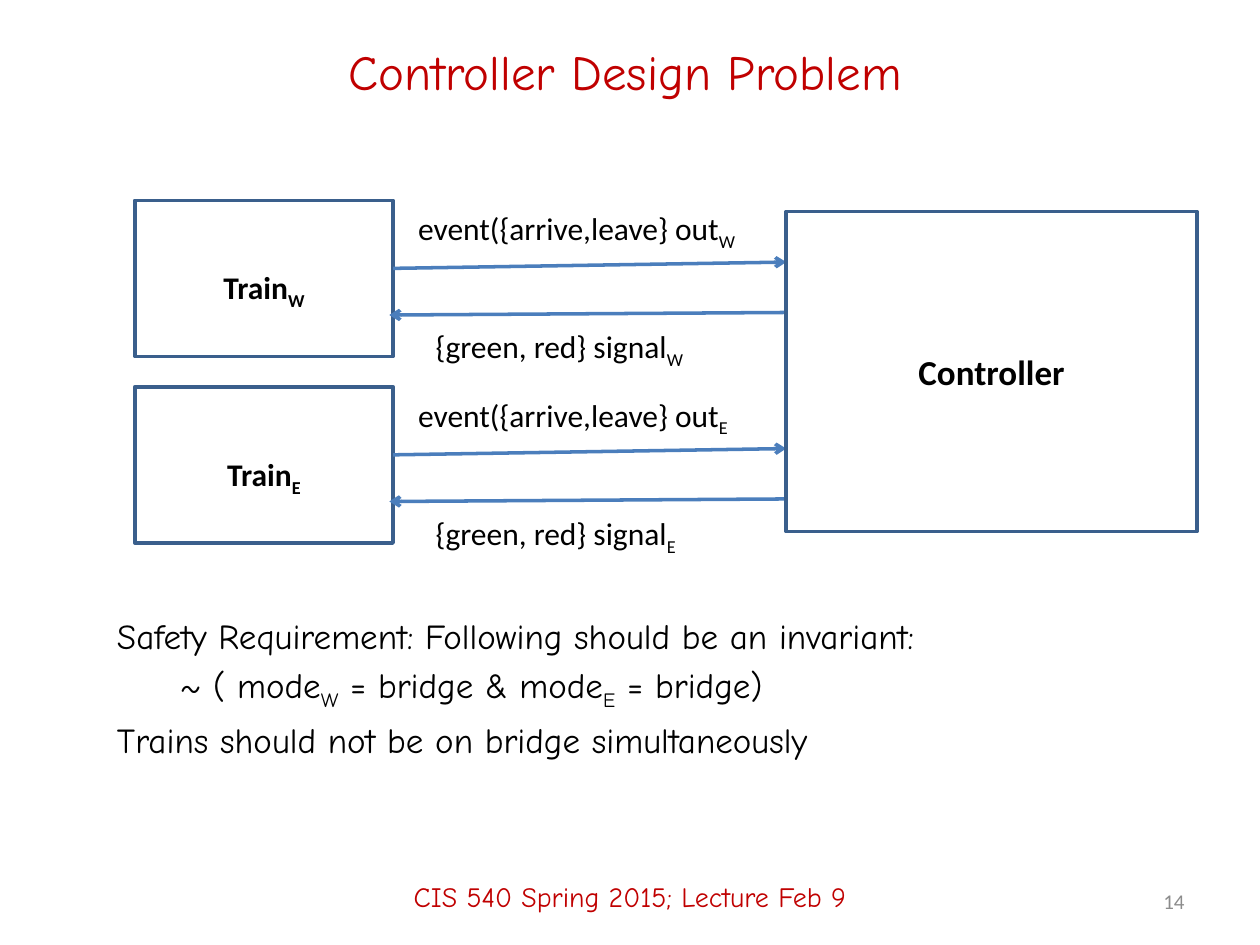
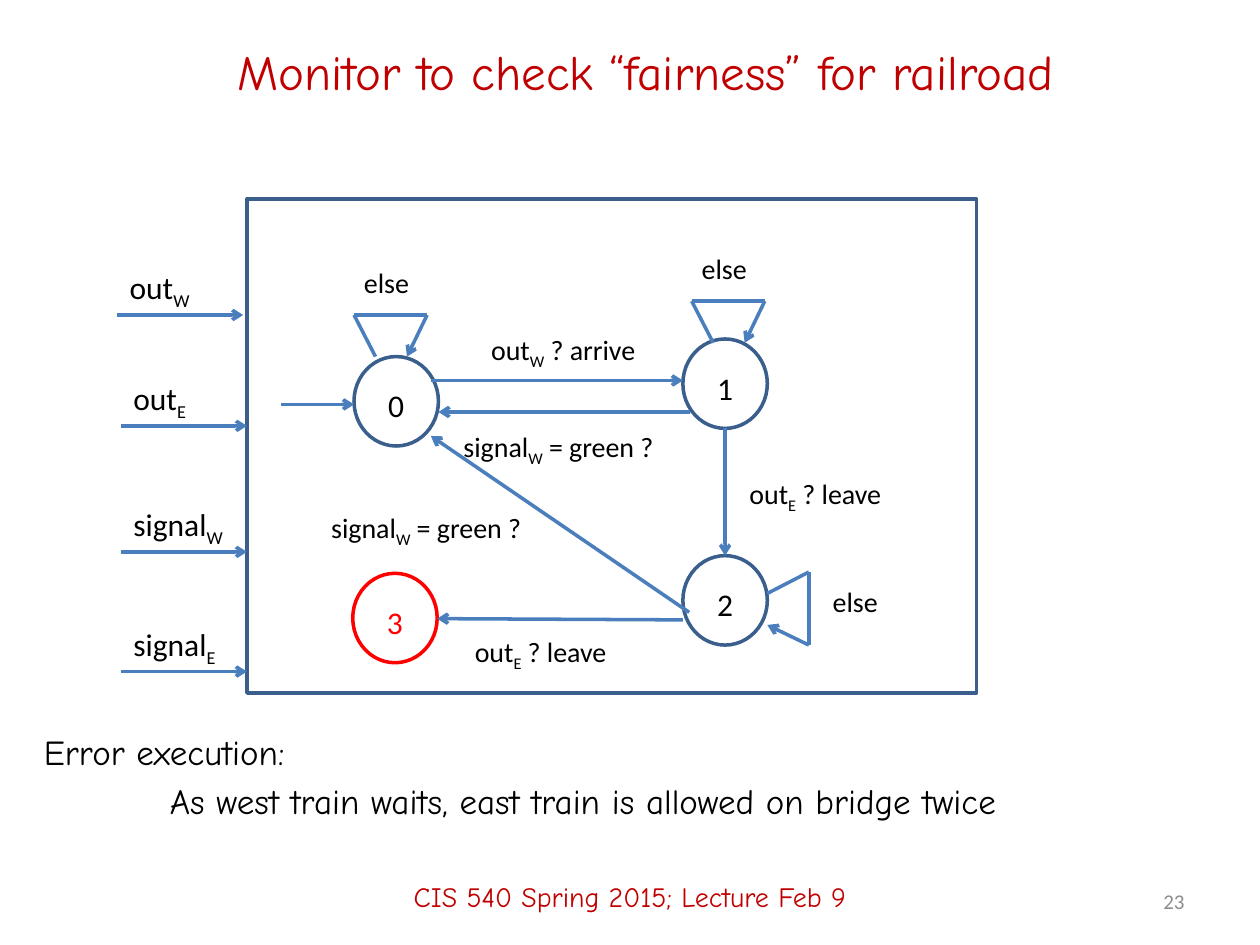
from itertools import pairwise

from lxml import etree
from pptx import Presentation
from pptx.dml.color import RGBColor
from pptx.enum.shapes import MSO_CONNECTOR, MSO_SHAPE
from pptx.enum.text import MSO_ANCHOR, PP_ALIGN
from pptx.oxml.ns import qn
from pptx.util import Inches, Pt

RECT, OVAL = MSO_SHAPE.RECTANGLE, MSO_SHAPE.OVAL
STRAIGHT = MSO_CONNECTOR.STRAIGHT
MIDDLE, TOP = MSO_ANCHOR.MIDDLE, MSO_ANCHOR.TOP
LEFT, CENTER, RIGHT = PP_ALIGN.LEFT, PP_ALIGN.CENTER, PP_ALIGN.RIGHT

BLACK = RGBColor(0, 0, 0)
CRIMSON = RGBColor(0xC0, 0, 0)
RED = RGBColor(0xFF, 0, 0)
GRAY = RGBColor(0x8C, 0x8C, 0x8C)
EDGE = RGBColor(0x3A, 0x5F, 0x8C)
WIRE = RGBColor(0x4B, 0x7E, 0xBC)
HAND, SANS = "Comic Neue", "Calibri"
WIDTH = Pt(2)
STATE_W, STATE_H = 0.67, 0.71


def inches(*values):
    return [Inches(v) for v in values]


def add_run(para, text, size, color, font, bold, sub=False):
    run = para.add_run()
    run.text = text
    run.font.size = Pt(size)
    run.font.name = font
    run.font.bold = bold
    run.font.color.rgb = color
    if sub:
        run.font._element.set("baseline", "-25000")


def write(para, text, size=18, color=BLACK, font=SANS, bold=False, align=LEFT):
    """An underscore lowers the letter after it."""
    para.alignment = align
    first, *rest = text.split("_")
    add_run(para, first, size, color, font, bold)
    for part in rest:
        add_run(para, part[0], size, color, font, bold, True)
        if part[1:]:
            add_run(para, part[1:], size, color, font, bold)


def label(slide, text, x, y, w, h=0.4, anchor=TOP, **style):
    frame = slide.shapes.add_textbox(*inches(x, y, w, h)).text_frame
    frame.word_wrap = True
    frame.vertical_anchor = anchor
    write(frame.paragraphs[0], text, **style)


def note(slide, box, lines):
    frame = slide.shapes.add_textbox(*inches(*box)).text_frame
    frame.word_wrap = True
    for i, (text, indent) in enumerate(lines):
        para = frame.add_paragraph() if i else frame.paragraphs[0]
        if i:
            para.space_before = Pt(4)
        para._p.get_or_add_pPr().set("marL", str(Inches(indent)))
        write(para, text, size=20, font=HAND)


def block(slide, kind, box, text="", edge=EDGE, drop=0, **style):
    shape = slide.shapes.add_shape(kind, *inches(*box))
    shape.shadow.inherit = False
    shape.fill.background()
    shape.line.color.rgb = edge
    shape.line.width = WIDTH
    if text:
        frame = shape.text_frame
        frame.margin_left = frame.margin_right = frame.margin_bottom = 0
        frame.margin_top = Inches(2 * drop)
        frame.vertical_anchor = MIDDLE
        write(frame.paragraphs[0], text, align=CENTER, **style)
    return shape


def wire(slide, start, end, arrow=True):
    line = slide.shapes.add_connector(STRAIGHT, *inches(*start, *end))
    line.line.color.rgb = WIRE
    line.line.width = WIDTH
    if arrow:
        tail = etree.SubElement(line.line._get_or_add_ln(), qn("a:tailEnd"))
        tail.set("type", "arrow")
    etree.SubElement(line._element.spPr, qn("a:effectLst"))
    return line


def new_slide(deck, title, box, number):
    slide = deck.slides.add_slide(deck.slide_layouts[5])
    head = slide.shapes.title
    head.left, head.top, head.width, head.height = inches(*box)
    head.text_frame.vertical_anchor = MIDDLE
    write(head.text_frame.paragraphs[0], title, size=28, color=CRIMSON,
          font=HAND, align=CENTER)
    label(slide, "CIS 540 Spring 2015; Lecture Feb 9", 0, 6.72, 10, 0.78,
          MIDDLE, size=16, color=CRIMSON, font=HAND, align=CENTER)
    label(slide, number, 7.17, 6.95, 2.33, 0.4, MIDDLE,
          size=12, color=GRAY, align=RIGHT)
    return slide


def train(slide, x, y, side):
    w, far = 2.05, x + 5.17
    block(slide, RECT, (x, y, w, 1.24), f"Train_{side}", drop=0.09, bold=True)
    wire(slide, (x + w, y + 0.54), (far, y + 0.49))
    wire(slide, (far, y + 0.89), (x + w - 0.03, y + 0.91))
    label(slide, f"event({{arrive,leave}} out_{side}", x + 2.15, y + 0.02, 2.9)
    label(slide, f"{{green, red}} signal_{side}", x + 2.29, y + 0.96, 2.38)


def state(slide, x, y, name, edge=EDGE, color=BLACK):
    return block(slide, OVAL, (x, y, STATE_W, STATE_H), name, edge,
                 drop=0.03, color=color)


def loop(slide, x, y, side=False):
    bends = [(0.17, 0), (0, 0.33), (0.58, 0.33), (0.42, 0)]
    points = [(x + b, y + a) if side else (x + a, y - b) for a, b in bends]
    for i, (start, end) in enumerate(pairwise(points)):
        wire(slide, start, end, arrow=i == 2)


def signal(slide, x, y, name):
    wire(slide, (x, y), (x + 1, y))
    label(slide, name, x, y - 0.42, 1.05)


def monitor(slide, x, y, w, h):
    block(slide, RECT, (x, y, w, h))
    left, right = x + 0.85, x + 3.46
    zero, one, two, three = y + 1.25, y + 1.11, y + 2.83, y + 2.97
    state(slide, left, zero, "0")
    state(slide, right, one, "1")
    goal = state(slide, right, two, "2")
    state(slide, left - 0.01, three, "3", RED, RED)

    loop(slide, left, zero)
    loop(slide, right + 0.07, one + 0.03)
    loop(slide, right + STATE_W, two + 0.13, side=True)

    mid, edge = right + STATE_W / 2, left + STATE_W
    wire(slide, (x + 0.27, y + 1.63), (left, y + 1.63))
    wire(slide, (edge - 0.06, y + 1.44), (right, y + 1.44))
    wire(slide, (right + 0.06, y + 1.69), (edge, y + 1.69))
    wire(slide, (right + 0.05, y + 3.28), (edge - 0.06, y + 1.88))
    wire(slide, (right, y + 3.34), (edge - 0.01, y + 3.33))
    wire(slide, (mid, one + STATE_H), (mid, two)).end_connect(goal, 0)

    for text, dx, dy, wide in [
        ("else", 0.83, 0.48, 0.65),
        ("else", 3.51, 0.37, 0.65),
        ("else", 4.55, 3.01, 0.65),
        ("out_W ? arrive", 1.84, 1.01, 1.5),
        ("signal_W = green ?", 1.62, 1.78, 1.9),
        ("signal_W = green ?", 0.57, 2.42, 1.9),
        ("out_E ? leave", 3.89, 2.15, 1.4),
        ("out_E ? leave", 1.71, 3.41, 1.4),
    ]:
        label(slide, text, x + dx, y + dy, wide, 0.37, size=16)


def design_slide(deck):
    slide = new_slide(deck, "Controller Design Problem",
                      (0.67, 0.17, 8.58, 0.78), "14")
    for i, side in enumerate("WE"):
        train(slide, 1.07, 1.59 + 1.48 * i, side)
    block(slide, RECT, (6.24, 1.68, 3.26, 2.54), "Controller",
          size=20, bold=True)
    note(slide, (0.83, 4.83, 8.52, 1.76), [
        ("Safety Requirement: Following should be an invariant:", 0),
        ("~ ( mode_W = bridge & mode_E = bridge)", 0.5),
        ("Trains should not be on bridge simultaneously", 0),
    ])


def monitor_slide(deck):
    slide = new_slide(deck, "Monitor to check “fairness” for railroad",
                      (0.75, 0.17, 8.75, 0.78), "23")
    monitor(slide, 1.96, 1.58, 5.79, 3.92)
    for name, x, y in [("out_W", 0.93, 2.5), ("out_E", 0.96, 3.38),
                       ("signal_W", 0.96, 4.38), ("signal_E", 0.96, 5.33)]:
        signal(slide, x, y, name)
    note(slide, (0.25, 5.75, 9.5, 0.75), [
        ("Error execution:", 0),
        ("As west train waits, east train is allowed on bridge twice", 1),
    ])


def main():
    deck = Presentation()
    deck.slide_width, deck.slide_height = inches(10, 7.5)
    design_slide(deck)
    monitor_slide(deck)
    deck.save("out.pptx")


if __name__ == "__main__":
    main()
